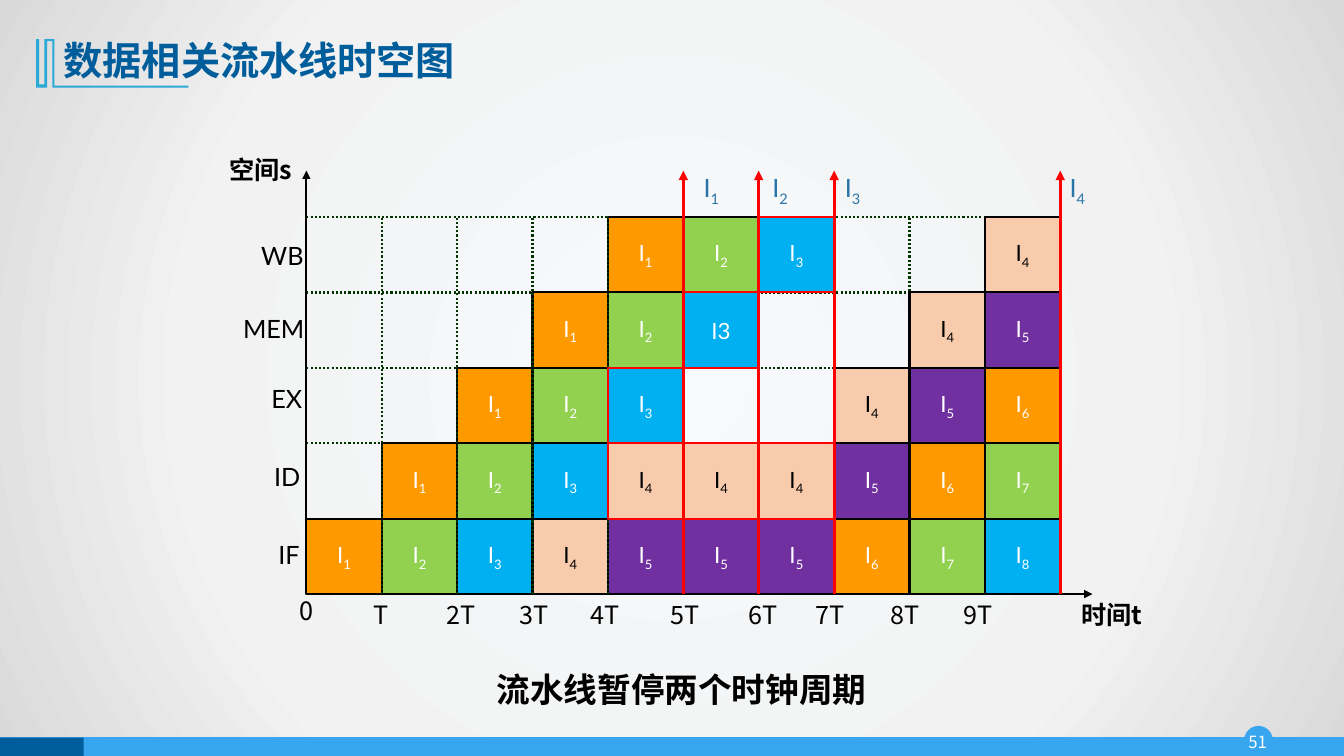
"""Build the slide with the pipeline space-time diagram for a data hazard."""
from dataclasses import dataclass

from lxml import etree
from pptx import Presentation
from pptx import util as u
from pptx.dml.color import RGBColor
from pptx.enum import dml, shapes, text
from pptx.oxml import parse_xml
from pptx.oxml.ns import nsdecls, qn

BLACK = RGBColor(0x00, 0x00, 0x00)
WHITE = RGBColor(0xFF, 0xFF, 0xFF)
RED = RGBColor(0xFF, 0x00, 0x00)
DARK_GREEN = RGBColor(0x00, 0x33, 0x00)
NAVY = RGBColor(0x00, 0x5D, 0x9C)
SKY = RGBColor(0x38, 0xA5, 0xEF)
CYAN = RGBColor(0x28, 0xA9, 0xD6)
STEEL = RGBColor(0x29, 0x75, 0xA9)
ORANGE = RGBColor(0xFF, 0x99, 0x00)
GREEN = RGBColor(0x92, 0xD0, 0x50)
BLUE = RGBColor(0x00, 0xB0, 0xF0)
PEACH = RGBColor(0xF8, 0xCB, 0xAD)
PURPLE = RGBColor(0x70, 0x30, 0xA0)
FILLS = (ORANGE, GREEN, BLUE, PEACH, PURPLE)

LATO, MONTSERRAT, NOTO = "Lato", "Montserrat", "Noto Sans CJK SC"
LEFT, CENTER, RIGHT = text.PP_ALIGN.LEFT, text.PP_ALIGN.CENTER, text.PP_ALIGN.RIGHT
MIDDLE, TOP = text.MSO_ANCHOR.MIDDLE, text.MSO_ANCHOR.TOP

ORIGIN_X, ORIGIN_Y, CELL = 7.72, 14.97, 1.9
COLUMNS, ROWS = 10, 5
GRID_TOP, ARROW_TOP = ORIGIN_Y - ROWS * CELL, 4.3
BACK_COLUMNS = (8, 9)
BACKGROUND = (
    f'<p:bg {nsdecls("p", "a")}><p:bgPr><a:gradFill><a:gsLst>'
    '<a:gs pos="0"><a:srgbClr val="F7FAFD"/></a:gs>'
    '<a:gs pos="63000"><a:srgbClr val="F2F2F2"/></a:gs>'
    '<a:gs pos="100000"><a:srgbClr val="D9D9D9"/></a:gs></a:gsLst>'
    '<a:path path="circle"><a:fillToRect l="50000" t="50000" r="50000" b="50000"/></a:path>'
    '</a:gradFill><a:effectLst/></p:bgPr></p:bg>'
)
ORNAMENT = (
    (137, 99), (137, 216), (475, 216), (475, 221), (132, 221), (132, 104), (119, 104),
    (119, 221), (91, 221), (91, 99), (99, 99), (99, 213), (112, 213), (112, 99),
)


@dataclass(frozen=True)
class Stage:
    name: str
    schedule: str
    stalled: tuple[int, ...]
    right: float
    top: float


@dataclass(frozen=True)
class Completion:
    number: str
    column: int
    label_left: float


STAGES = (
    Stage("IF", "1234555678", (), 7.8, 13.46),
    Stage("ID", " 123444567", (4, 5, 6), 7.82, 11.51),
    Stage("EX", "  123  456", (4,), 7.87, 9.53),
    Stage("MEM", "   123  45", (5,), 7.92, 7.77),
    Stage("WB", "    123  4", (6,), 7.9, 5.94),
)
COMPLETIONS = (
    Completion("1", 5, 16.76),
    Completion("2", 6, 18.49),
    Completion("3", 7, 20.32),
    Completion("4", 10, 25.98),
)
TICK_CENTERS = (9.61, 11.62, 13.47, 15.25, 17.26, 19.24, 20.92, 22.8, 24.65)


def write(box, words: str, *, subscript: str = "", size: float = 18, font: str = LATO,
          color: RGBColor = BLACK, bold: bool = False, align=LEFT, anchor=TOP,
          wrap: bool = True, spacing: float = 1.0, inset: float | None = None) -> None:
    frame = box.text_frame
    frame.word_wrap = wrap
    frame.vertical_anchor = anchor
    if inset is not None:
        frame.margin_left = frame.margin_right = u.Cm(inset)
        frame.margin_top = frame.margin_bottom = u.Cm(inset)
    para = frame.paragraphs[0]
    para.alignment = align
    para.line_spacing = spacing
    para.space_before = u.Pt(0)
    for part in filter(None, (words, subscript)):
        span = para.add_run()
        span.text = part
        span.font.size = u.Pt(size)
        span.font.name = font
        span.font.bold = bold
        span.font.color.rgb = color
        properties = span.font._element
        etree.SubElement(properties, qn("a:ea")).set("typeface", NOTO)
        if part is subscript:
            properties.set("baseline", "-25000")


def add_label(page, x: float, y: float, width: float, height: float, words: str, **style) -> None:
    box = page.shapes.add_textbox(u.Cm(x), u.Cm(y), u.Cm(width), u.Cm(height))
    write(box, words, **style)


def paint(box, fill: RGBColor, line: RGBColor | None = None, weight: float = 1) -> None:
    box.shadow.inherit = False
    box.fill.solid()
    box.fill.fore_color.rgb = fill
    if line is None:
        box.line.fill.background()
    else:
        box.line.color.rgb = line
        box.line.width = u.Pt(weight)


def add_block(page, kind, x: float, y: float, width: float, height: float,
              fill: RGBColor, line: RGBColor | None = None, weight: float = 1):
    box = page.shapes.add_shape(kind, u.Cm(x), u.Cm(y), u.Cm(width), u.Cm(height))
    paint(box, fill, line, weight)
    return box


def add_line(page, x1: float, y1: float, x2: float, y2: float, color: RGBColor,
             weight: float = 1.5, dotted: bool = False) -> None:
    line = page.shapes.add_connector(
        shapes.MSO_CONNECTOR.STRAIGHT, u.Cm(x1), u.Cm(y1), u.Cm(x2), u.Cm(y2))
    line.line.color.rgb = color
    line.line.width = u.Pt(weight)
    if dotted:
        line.line.dash_style = dml.MSO_LINE.ROUND_DOT
    else:
        etree.SubElement(line.line._get_or_add_ln(), qn("a:tailEnd")).set("type", "triangle")
    etree.SubElement(line._element.spPr, qn("a:effectLst"))


def column_x(column: int) -> float:
    return ORIGIN_X + column * CELL


def add_column_guide(page, column: int) -> None:
    add_line(page, column_x(column), ORIGIN_Y, column_x(column), GRID_TOP, DARK_GREEN, dotted=True)


def add_cells(page, stalled: bool) -> None:
    for row, stage in enumerate(STAGES):
        for column, number in enumerate(stage.schedule):
            if number == " " or (column in stage.stalled) != stalled:
                continue
            fill = FILLS[(int(number) - 1) % len(FILLS)]
            cell = add_block(page, shapes.MSO_SHAPE.RECTANGLE, column_x(column),
                             ORIGIN_Y - (row + 1) * CELL, CELL, CELL, fill,
                             RED if stalled else BLACK, 1.5)
            plain = stage.name == "MEM" and stalled
            write(cell, "I" + number if plain else "I", subscript="" if plain else number,
                  size=16, color=BLACK if fill == PEACH else WHITE,
                  align=CENTER, anchor=MIDDLE, wrap=False)


def add_frame(page) -> None:
    page._element.cSld.insert(0, parse_xml(BACKGROUND))
    add_block(page, shapes.MSO_SHAPE.OVAL, 31.37, 18.31, 0.69, 0.69, SKY, SKY)
    add_block(page, shapes.MSO_SHAPE.RECTANGLE, 0.03, 18.59, 33.83, 0.48, SKY, SKY)
    add_block(page, shapes.MSO_SHAPE.RECTANGLE, 0, 18.59, 2.11, 0.48, NAVY)
    add_label(page, 31.29, 18.31, 0.81, 0.79, "51", size=12, font=NOTO, color=WHITE,
              align=CENTER, anchor=MIDDLE, inset=0)
    outline = page.shapes.build_freeform(*ORNAMENT[0], scale=u.Cm(0.01))
    outline.add_line_segments(ORNAMENT[1:], close=True)
    paint(outline.convert_to_shape(), CYAN)
    title = page.shapes.title
    title.left, title.top, title.width, title.height = map(u.Cm, (1.35, 0.71, 29.21, 1.73))
    write(title, "数据相关流水线时空图", size=28, font=MONTSERRAT, color=NAVY, bold=True,
          anchor=MIDDLE, spacing=0.9)


def add_diagram(page) -> None:
    for row in range(1, ROWS + 1):
        y = ORIGIN_Y - row * CELL
        add_line(page, ORIGIN_X, y, column_x(COLUMNS), y, DARK_GREEN, dotted=True)
    for column in BACK_COLUMNS:
        add_column_guide(page, column)
    add_cells(page, stalled=False)
    add_line(page, ORIGIN_X, ORIGIN_Y, 27.53, ORIGIN_Y, BLACK)
    add_line(page, ORIGIN_X, ORIGIN_Y, ORIGIN_X, ARROW_TOP, BLACK)
    for column in range(1, COLUMNS + 1):
        if column not in BACK_COLUMNS:
            add_column_guide(page, column)
    add_cells(page, stalled=True)
    for done in COMPLETIONS:
        x = column_x(done.column)
        add_line(page, x, ORIGIN_Y, x, ARROW_TOP, RED, 2.25)
        add_label(page, done.label_left, 4.23, 2.34, 1.02, "I", subscript=done.number,
                  color=STEEL, align=CENTER)


def add_captions(page) -> None:
    for stage in STAGES:
        add_label(page, stage.right - 2.8, stage.top, 2.8, 1.02, stage.name, align=RIGHT)
    add_label(page, 4.88, 3.76, 2.74, 1.02, "空间s", font=NOTO, bold=True, align=RIGHT)
    add_label(page, 26.06, 14.99, 2.97, 1.02, "时间t", font=NOTO, bold=True, align=RIGHT)
    add_label(page, 7.11, 14.88, 1.24, 1.02, "0", font=NOTO, align=CENTER, wrap=False)
    for tick, center in enumerate(TICK_CENTERS, 1):
        add_label(page, center - 0.62, 14.99, 1.24, 1.02, f"{tick}T" if tick > 1 else "T",
                  font=NOTO, align=CENTER, wrap=False)
    add_label(page, 12.27, 16.54, 12.88, 1.45, "流水线暂停两个时钟周期", size=24, font=NOTO,
              bold=True, spacing=1.2)


def main() -> None:
    deck = Presentation()
    deck.slide_width, deck.slide_height = u.Cm(33.87), u.Cm(19.05)
    page = deck.slides.add_slide(deck.slide_layouts[5])
    add_frame(page)
    add_diagram(page)
    add_captions(page)
    deck.save("out.pptx")


if __name__ == "__main__":
    main()
